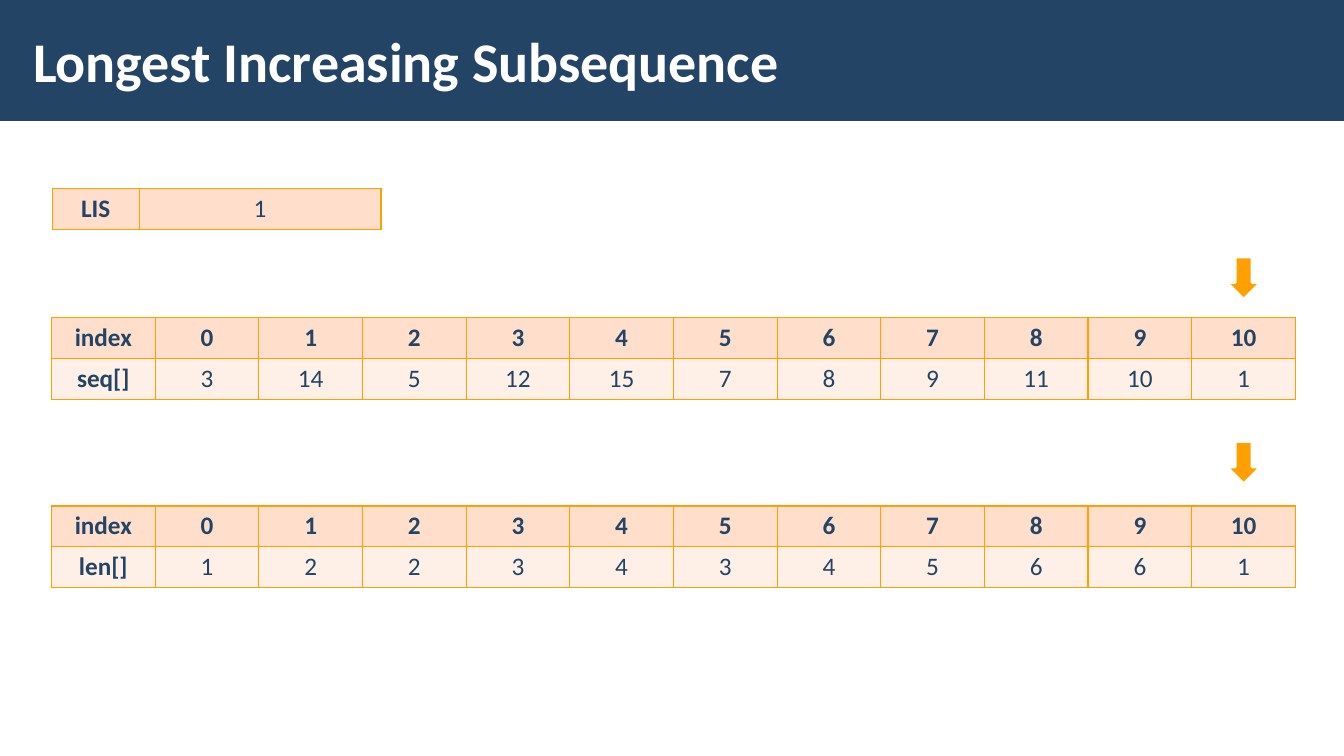
from lxml import etree
from pptx import Presentation
from pptx.dml.color import RGBColor
from pptx.enum.shapes import MSO_SHAPE
from pptx.enum.text import MSO_ANCHOR, PP_ALIGN
from pptx.oxml.ns import qn
from pptx.util import Pt

RECTANGLE = MSO_SHAPE.RECTANGLE
DOWN_ARROW = MSO_SHAPE.DOWN_ARROW
MIDDLE = MSO_ANCHOR.MIDDLE
CENTER = PP_ALIGN.CENTER

# Content
TITLE = "Longest Increasing Subsequence"
INDEX_ROW = ["index", *range(11)]
SEQUENCE_ROW = ["seq[]", 3, 14, 5, 12, 15, 7, 8, 9, 11, 10, 1]
LENGTH_ROW = ["len[]", 1, 2, 2, 3, 4, 3, 4, 5, 6, 6, 1]
RESULT_ROW = ["LIS", 1]
CURRENT_INDEX = 10

# Style, lengths in points
COLORS = {"navy": "234465", "white": "FFFFFF", "orange": "FFA000",
          "header": "FFDFCC", "body": "FFF0E7"}
FONT = "Calibri"
SLIDE_WIDTH, SLIDE_HEIGHT = 960, 540
BANNER_HEIGHT = 86.4
GRID_LEFT, COLUMN_WIDTH, ROW_HEIGHT = 36.8, 74.05, 29.2
ARROW_WIDTH, ARROW_HEIGHT = 24, 30.2
# (table top, arrow top, second row)
ARRAYS = [(226.8, 183.6, SEQUENCE_ROW), (361.4, 315.4, LENGTH_ROW)]
RESULT_LEFT, RESULT_TOP, RESULT_WIDTHS = 37.4, 134.8, [62, 172.8]


def color(name):
    return RGBColor.from_string(COLORS[name])


def style_font(paragraph, size, color_name, bold):
    font = paragraph.runs[0].font
    font.name, font.size, font.bold = FONT, Pt(size), bold
    font.color.rgb = color(color_name)


def add_filled_shape(slide, kind, left, top, width, height, fill):
    shape = slide.shapes.add_shape(kind, Pt(left), Pt(top), Pt(width), Pt(height))
    shape.shadow.inherit = False
    shape.fill.solid()
    shape.fill.fore_color.rgb = color(fill)
    shape.line.fill.background()
    return shape


def add_borders(cell):
    properties = cell._tc.get_or_add_tcPr()
    for position, side in enumerate(("a:lnL", "a:lnR", "a:lnT", "a:lnB")):
        line = etree.Element(qn(side), w=str(Pt(1)))
        fill = etree.SubElement(line, qn("a:solidFill"))
        etree.SubElement(fill, qn("a:srgbClr"), val=COLORS["orange"])
        properties.insert(position, line)


def add_grid(slide, left, top, widths, rows):
    frame = slide.shapes.add_table(len(rows), len(widths), Pt(left), Pt(top),
                                   Pt(sum(widths)), Pt(ROW_HEIGHT * len(rows)))
    table = frame.table
    for column, width in zip(table.columns, widths):
        column.width = Pt(width)
    for row_number, values in enumerate(rows):
        table.rows[row_number].height = Pt(ROW_HEIGHT)
        for column_number, value in enumerate(values):
            cell = table.cell(row_number, column_number)
            cell.fill.solid()
            cell.fill.fore_color.rgb = color("body" if row_number else "header")
            add_borders(cell)
            cell.text_frame.text = str(value)
            paragraph = cell.text_frame.paragraphs[0]
            paragraph.alignment = CENTER
            bold = column_number == 0 or values is INDEX_ROW
            style_font(paragraph, 18, "navy", bold)


presentation = Presentation()
presentation.slide_width, presentation.slide_height = Pt(SLIDE_WIDTH), Pt(SLIDE_HEIGHT)
slide = presentation.slides.add_slide(presentation.slide_layouts[6])

# Banner and title
add_filled_shape(slide, RECTANGLE, 0, 0, SLIDE_WIDTH, BANNER_HEIGHT, "navy")
title = slide.shapes.add_textbox(Pt(15.1), Pt(7.9), Pt(765.4), Pt(69.8))
text_frame = title.text_frame
text_frame.word_wrap = True
text_frame.vertical_anchor = MIDDLE
text_frame.margin_left = text_frame.margin_right = Pt(8.5)
text_frame.margin_top = text_frame.margin_bottom = Pt(3)
text_frame.text = TITLE
style_font(text_frame.paragraphs[0], 40, "white", True)

# Array tables, each with an arrow centred over the current index
arrow_center = GRID_LEFT + (CURRENT_INDEX + 1.5) * COLUMN_WIDTH
for table_top, arrow_top, values in ARRAYS:
    arrow = add_filled_shape(slide, DOWN_ARROW, arrow_center - ARROW_WIDTH / 2,
                             arrow_top, ARROW_WIDTH, ARROW_HEIGHT, "orange")
    arrow.line.color.rgb = color("white")
    arrow.line.width = Pt(2)
    add_grid(slide, GRID_LEFT, table_top, [COLUMN_WIDTH] * len(INDEX_ROW),
             [INDEX_ROW, values])

# Result table
add_grid(slide, RESULT_LEFT, RESULT_TOP, RESULT_WIDTHS, [RESULT_ROW])

presentation.save("out.pptx")
